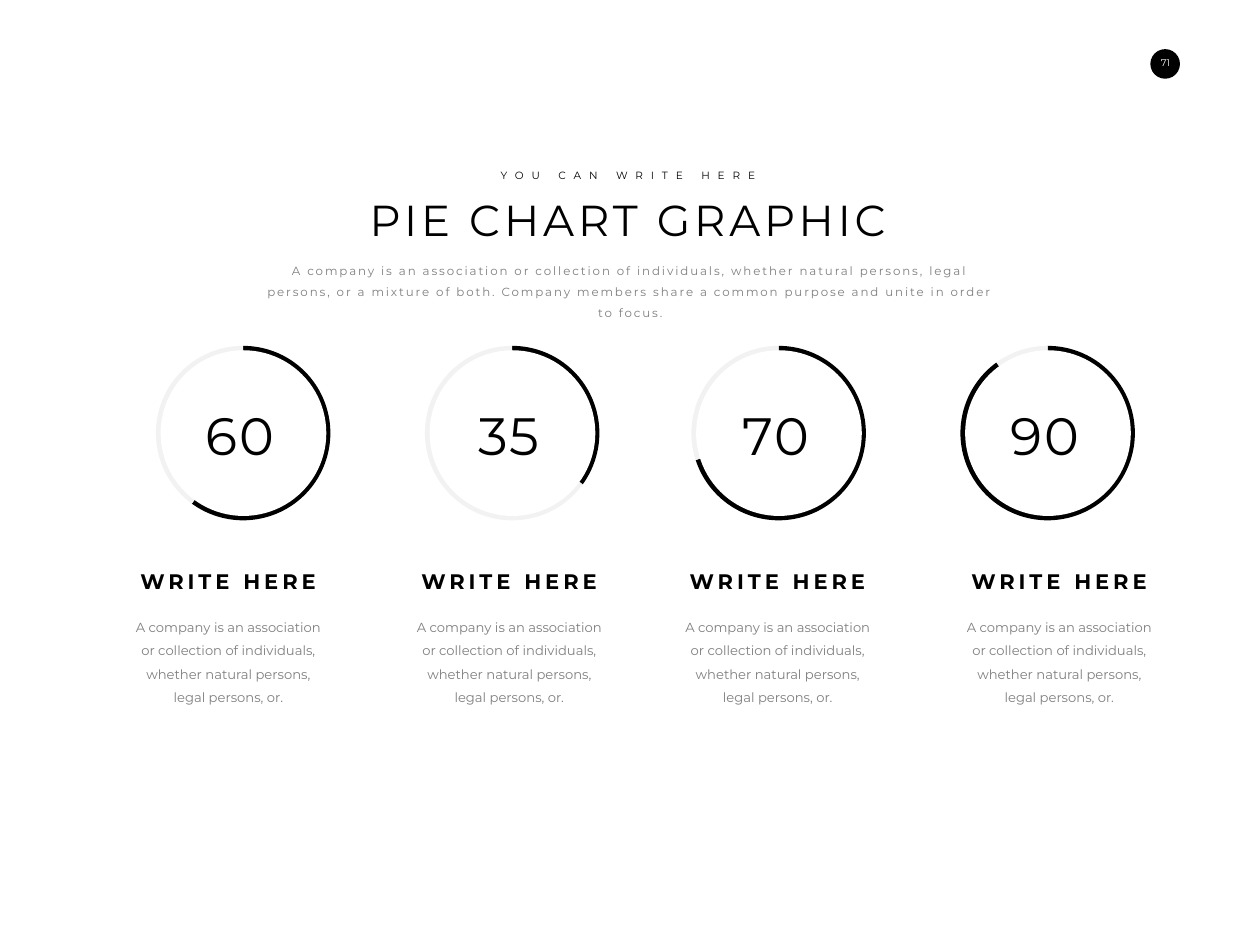
from dataclasses import dataclass

from lxml import etree
from pptx import Presentation
from pptx import util as u
from pptx.chart.data import CategoryChartData
from pptx.dml.color import RGBColor
from pptx.enum import chart as charts, shapes, text
from pptx.oxml import ns

COLUMNS, ROWS = 20, 15
CELL = u.Inches(1)
COLORS = {"ink": "000000", "track": "F2F2F2", "muted": "7F7F7F", "paper": "FFFFFF"}
FONT = "Montserrat"
CAPTION_TITLE = "WRITE HERE"
CAPTION_BODY = ("A company is an association or collection of individuals, "
                "whether natural persons, legal persons, or.")
INTRO = ("A company is an association or collection of individuals, whether natural "
         "persons, legal persons, or a mixture of both. Company members share a common "
         "purpose and unite in order to focus.")


@dataclass(frozen=True)
class Box:
    """A place on the grid, in columns and rows."""
    left: float
    top: float
    width: float
    height: float

    def lengths(self) -> tuple[int, ...]:
        return tuple(round(n * CELL) for n in (self.left, self.top, self.width, self.height))


@dataclass(frozen=True)
class Style:
    size: float
    color: str = "ink"
    tracking: float = 0
    bold: bool = False
    line_spacing: float = 1
    wrap: bool = True
    inset: tuple[float, float] = (0.1, 0.05)


@dataclass(frozen=True)
class Dial:
    percent: int
    chart_left: float
    caption_left: float


STYLES = {
    "page": Style(11, "paper", wrap=False, inset=(0.15, 0.08)),
    "kicker": Style(12, tracking=9, wrap=False),
    "title": Style(49.5, tracking=4.5, wrap=False),
    "intro": Style(13.5, "muted", tracking=2.2, line_spacing=1.5),
    "number": Style(60, tracking=2.2),
    "heading": Style(24, tracking=4.5, bold=True, wrap=False),
    "body": Style(15, "muted", line_spacing=1.5),
}
DIALS = [Dial(60, 2, 2), Dial(35, 6.27, 6.46), Dial(70, 10.5, 10.72), Dial(90, 14.77, 15.19)]
CHART_WIDTH, CHART_HEIGHT, PIE_SIZE = 3.72, 3.07, 2.77


def color(name: str) -> RGBColor:
    return RGBColor.from_string(COLORS[name])


def add_text(slide, box: Box, words: str, style: Style) -> None:
    frame = slide.shapes.add_textbox(*box.lengths()).text_frame
    frame.word_wrap = style.wrap
    frame.auto_size = text.MSO_AUTO_SIZE.SHAPE_TO_FIT_TEXT
    frame.margin_left = frame.margin_right = u.Inches(style.inset[0])
    frame.margin_top = frame.margin_bottom = u.Inches(style.inset[1])
    frame.text = words
    paragraph = frame.paragraphs[0]
    paragraph.alignment = text.PP_ALIGN.CENTER
    paragraph.line_spacing = style.line_spacing
    run = paragraph.runs[0]
    run.font.name = FONT
    run.font.size = u.Pt(style.size)
    run.font.bold = style.bold
    run.font.color.rgb = color(style.color)
    if style.tracking:
        run._r.get_or_add_rPr().set("spc", str(round(style.tracking * 100)))


def add_disc(slide, box: Box, fill: str) -> None:
    shape = slide.shapes.add_shape(shapes.MSO_SHAPE.OVAL, *box.lengths())
    shape.shadow.inherit = False
    shape.fill.solid()
    shape.fill.fore_color.rgb = color(fill)
    shape.line.fill.background()


def center_plot(chart, width: float, height: float) -> None:
    """Centre the plot area, sized as shares of the chart."""
    plot_area = chart._chartSpace.chart.plotArea
    for old in plot_area.findall(ns.qn("c:layout")):
        plot_area.remove(old)
    layout = etree.Element(ns.qn("c:layout"))
    manual = etree.SubElement(layout, ns.qn("c:manualLayout"))
    for tag, value in (("layoutTarget", "inner"), ("xMode", "edge"), ("yMode", "edge"),
                       ("x", (1 - width) / 2), ("y", (1 - height) / 2),
                       ("w", width), ("h", height)):
        etree.SubElement(manual, ns.qn(f"c:{tag}")).set("val", str(value))
    plot_area.insert(0, layout)


def add_pie(slide, box: Box, percent: int) -> None:
    data = CategoryChartData()
    data.categories = ["1", "2"]
    data.add_series("Series 1", (percent, 100 - percent))
    chart = slide.shapes.add_chart(charts.XL_CHART_TYPE.PIE, *box.lengths(), data).chart
    chart.has_legend = chart.has_title = False
    chart.font.name = "Calibri"
    chart.font.size = u.Pt(10)
    chart.font.color.rgb = color("muted")
    plot = chart.plots[0]
    plot.vary_by_categories = False
    for index, fill in enumerate(("ink", "track")):
        point = plot.series[0].points[index]
        point.format.fill.solid()
        point.format.fill.fore_color.rgb = color(fill)
        point.format.line.fill.background()
    center_plot(chart, PIE_SIZE / box.width, PIE_SIZE / box.height)


def add_dial(slide, dial: Dial) -> None:
    # Ring with its number
    left = dial.chart_left
    add_pie(slide, Box(left, 5.34, CHART_WIDTH, CHART_HEIGHT), dial.percent)
    add_disc(slide, Box(left + 0.55, 5.56, 2.63, 2.63), "paper")
    add_text(slide, Box(left + 0.65, 6.35, 2.33, 1.11), str(dial.percent), STYLES["number"])
    # Caption
    left = dial.caption_left
    add_text(slide, Box(left + 0.11, 8.97, 3.02, 0.51), CAPTION_TITLE, STYLES["heading"])
    add_text(slide, Box(left, 9.65, 3.25, 1.62), CAPTION_BODY, STYLES["body"])


def main() -> None:
    presentation = Presentation()
    presentation.slide_width, presentation.slide_height = COLUMNS * CELL, ROWS * CELL
    slide = presentation.slides.add_slide(presentation.slide_layouts[6])

    # Page number
    add_disc(slide, Box(18.26, 0.78, 0.47, 0.47), "ink")
    add_text(slide, Box(18.21, 0.82, 0.58, 0.34), "71", STYLES["page"])

    # Heading
    add_text(slide, Box(7.78, 2.64, 4.38, 0.3), "YOU CAN WRITE HERE", STYLES["kicker"])
    add_text(slide, Box(5.74, 3.01, 8.46, 0.93), "PIE CHART GRAPHIC", STYLES["title"])
    add_text(slide, Box(3.99, 4.02, 12.03, 0.78), INTRO, STYLES["intro"])

    # Dials
    for dial in DIALS:
        add_dial(slide, dial)

    presentation.save("out.pptx")


if __name__ == "__main__":
    main()
